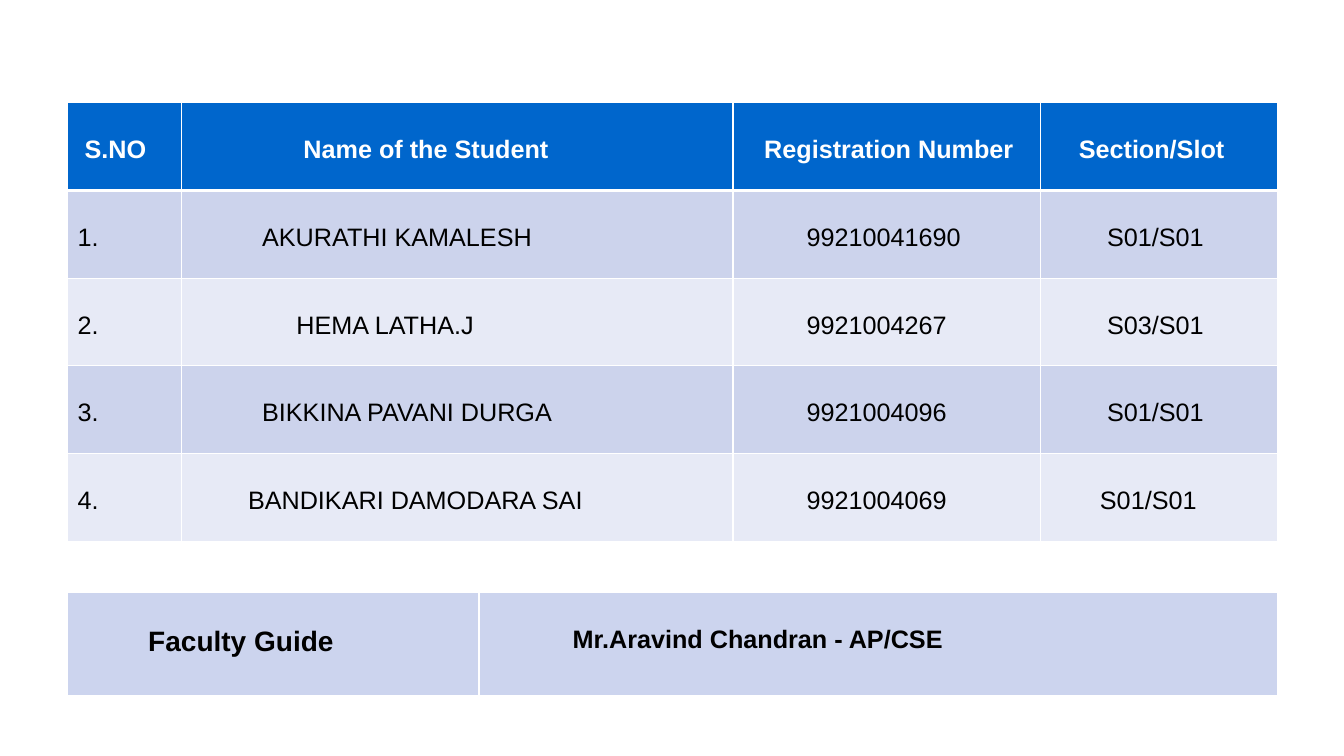
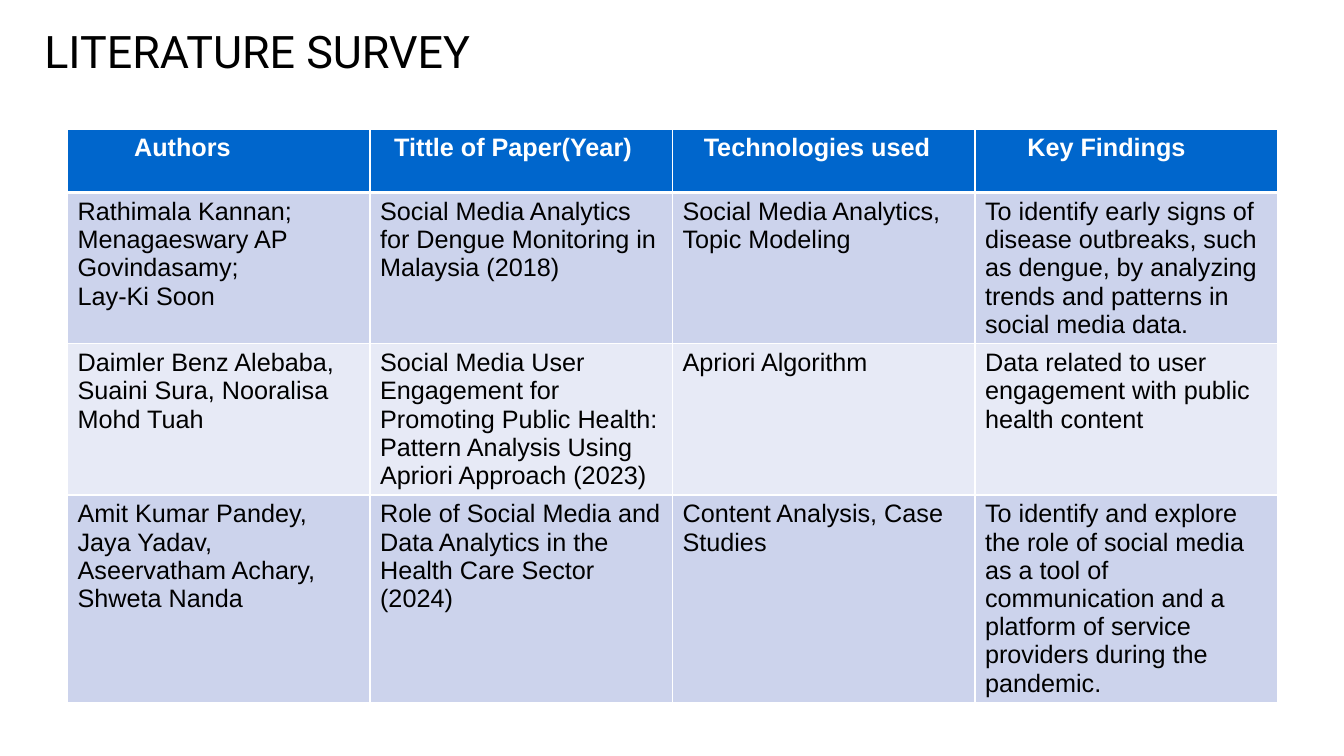
from lxml import etree
from pptx import Presentation
from pptx.dml.color import RGBColor
from pptx.enum.text import MSO_ANCHOR, MSO_AUTO_SIZE, PP_ALIGN
from pptx.oxml.ns import qn
from pptx.util import Inches, Pt

LEFT = PP_ALIGN.LEFT
MIDDLE = MSO_ANCHOR.MIDDLE
NO_AUTOFIT = MSO_AUTO_SIZE.NONE

BLUE = RGBColor(0x00, 0x66, 0xCC)
BAND_DARK = RGBColor(0xCC, 0xD3, 0xEC)
BAND_LIGHT = RGBColor(0xE7, 0xEA, 0xF6)
GUIDE_FILL = RGBColor(0xCC, 0xD4, 0xEE)
WHITE = RGBColor(0xFF, 0xFF, 0xFF)
BLACK = RGBColor(0x00, 0x00, 0x00)

TABLE_LEFT, TABLE_WIDTH = 0.67, 12
CELL_INSET, TOP_INSET, LOW_TOP_INSET = 0.1, 0.05, 0.33
THIN, THICK = 1, 3

HEADER = {"size": Pt(18), "name": "Arial", "bold": True}
BODY = {"size": Pt(18), "name": "Arial", "bold": False}
GUIDE_LABEL = {"size": Pt(20), "name": "Arial", "bold": True}
TITLE = {"size": Pt(32), "name": "Roboto", "bold": False}

# A cell is a text, or a text with its left inset in inches.
STUDENTS = [
    [("S.NO", 0.17), ("Name of the Student", 1.21),
     ("Registration Number", 0.31), ("Section/Slot", 0.38)],
    ["1.", ("AKURATHI KAMALESH", 0.8), ("99210041690", 0.73), ("S01/S01", 0.66)],
    ["2.", ("HEMA LATHA.J", 1.14), ("9921004267", 0.73), ("S03/S01", 0.66)],
    ["3.", ("BIKKINA PAVANI DURGA", 0.8), ("9921004096", 0.73), ("S01/S01", 0.66)],
    ["4.", ("BANDIKARI DAMODARA SAI", 0.66), ("9921004069", 0.73), ("S01/S01", 0.59)],
]
GUIDE = [("Faculty Guide", 0.8, GUIDE_LABEL),
         ("Mr.Aravind Chandran - AP/CSE", 0.93, HEADER)]
SURVEY = [
    [("Authors", 0.66), ("Tittle of Paper(Year)", 0.24),
     ("Technologies used", 0.31), ("Key Findings", 0.52)],
    ["Rathimala Kannan;\nMenagaeswary AP Govindasamy;\nLay-Ki Soon",
     "Social Media Analytics for Dengue Monitoring in Malaysia (2018)",
     "Social Media Analytics, Topic Modeling",
     "To identify early signs of disease outbreaks, such as dengue, "
     "by analyzing trends and patterns in social media data."],
    ["Daimler Benz Alebaba, Suaini Sura, Nooralisa Mohd Tuah",
     "Social Media User Engagement for Promoting Public Health: "
     "Pattern Analysis Using Apriori Approach (2023)",
     "Apriori Algorithm",
     "Data related to user engagement with public health content"],
    ["Amit Kumar Pandey, Jaya Yadav, Aseervatham Achary, Shweta Nanda",
     "Role of Social Media and Data Analytics in the Health Care Sector (2024)",
     "Content Analysis, Case Studies",
     "To identify and explore the role of social media as a tool of communication "
     "and a platform of service providers during the pandemic."],
]


def style_text(frame, style, color):
    for paragraph in frame.paragraphs:
        paragraph.alignment = LEFT
        for run in paragraph.runs:
            for key, value in style.items():
                setattr(run.font, key, value)
            run.font.color.rgb = color


def set_borders(cell, top, bottom):
    """Draw white cell borders; top and bottom are widths in points."""
    properties = cell._tc.get_or_add_tcPr()
    sides = {"lnL": THIN, "lnR": THIN, "lnT": top, "lnB": bottom}
    for position, (side, width) in enumerate(sides.items()):
        line = etree.Element(qn(f"a:{side}"), w=str(Pt(width)))
        fill = etree.SubElement(line, qn("a:solidFill"))
        etree.SubElement(fill, qn("a:srgbClr"), val=str(WHITE))
        properties.insert(position, line)


def fill_cell(cell, text, inset, style, color, fill, top_inset, rules):
    cell.text = text
    cell.margin_left = Inches(inset)
    cell.margin_top = Inches(top_inset)
    style_text(cell.text_frame, style, color)
    cell.fill.solid()
    cell.fill.fore_color.rgb = fill
    set_borders(cell, *rules)


def add_grid(slide, top, widths, heights):
    table = slide.shapes.add_table(
        len(heights), len(widths), Inches(TABLE_LEFT), Inches(top),
        Inches(TABLE_WIDTH), Inches(sum(heights))).table
    table.first_row = table.horz_banding = False
    for column, width in zip(table.columns, widths):
        column.width = Inches(width)
    for row, height in zip(table.rows, heights):
        row.height = Inches(height)
    return table


def add_banded_table(slide, rows, top, widths, heights, top_inset):
    table = add_grid(slide, top, widths, heights)
    for r, row in enumerate(rows):
        if r == 0:
            style, color, fill = HEADER, WHITE, BLUE
        else:
            style, color, fill = BODY, BLACK, BAND_DARK if r % 2 else BAND_LIGHT
        rules = (THICK if r == 1 else THIN, THICK if r == 0 else THIN)
        for c, entry in enumerate(row):
            text, inset = (entry, CELL_INSET) if isinstance(entry, str) else entry
            fill_cell(table.cell(r, c), text, inset, style, color, fill, top_inset, rules)


def build_team(prs):
    slide = prs.slides.add_slide(prs.slide_layouts[6])
    add_banded_table(slide, STUDENTS, 1.02, [1.13, 5.47, 3.05, 2.35],
                     [0.87] * len(STUDENTS), LOW_TOP_INSET)
    guide = add_grid(slide, 5.88, [4.08, 7.92], [1.03])
    for c, (text, inset, style) in enumerate(GUIDE):
        fill_cell(guide.cell(0, c), text, inset, style, BLACK, GUIDE_FILL,
                  LOW_TOP_INSET, (THIN, THICK))


def build_survey(prs):
    slide = prs.slides.add_slide(prs.slide_layouts[5])
    title = slide.shapes.title
    title.left, title.top, title.width, title.height = map(Inches, (0.34, 0.18, 12, 0.64))
    title.text_frame.text = "LITERATURE SURVEY"
    title.text_frame.vertical_anchor = MIDDLE
    title.text_frame.auto_size = NO_AUTOFIT
    style_text(title.text_frame, TITLE, BLACK)
    columns = len(SURVEY[0])
    add_banded_table(slide, SURVEY, 1.28, [TABLE_WIDTH / columns] * columns,
                     [0.63, 1.5, 1.5, 2.06], TOP_INSET)


def main():
    prs = Presentation()
    prs.slide_width, prs.slide_height = Inches(13.33), Inches(7.5)
    build_team(prs)
    build_survey(prs)
    prs.save("out.pptx")


if __name__ == "__main__":
    main()
